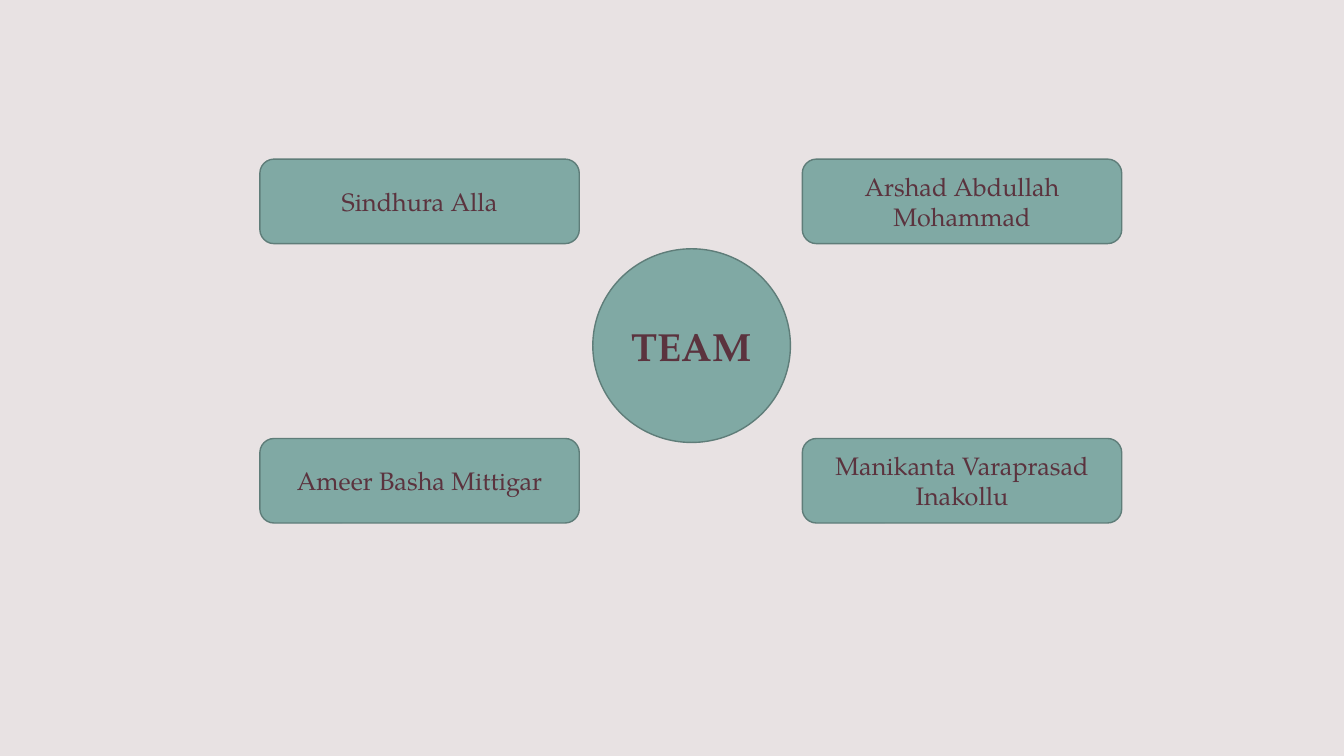
"""Build the team slide: four member cards around a central circle."""
import dataclasses

import pptx
import pptx.dml.color
import pptx.enum.shapes
import pptx.enum.text
import pptx.util

Cm = pptx.util.Cm
Pt = pptx.util.Pt
RGB = pptx.dml.color.RGBColor
Preset = pptx.enum.shapes.MSO_SHAPE


@dataclasses.dataclass(frozen=True)
class Theme:
    background: RGB = RGB.from_string("E8E2E3")
    fill: RGB = RGB.from_string("80A9A4")
    line: RGB = RGB.from_string("5F7D79")
    text: RGB = RGB.from_string("5B333E")
    font: str = "TeX Gyre Pagella"
    name_size: float = 18
    title_size: float = 28
    line_width: float = 1


@dataclasses.dataclass(frozen=True)
class Node:
    text: str
    left: float
    top: float
    width: float
    height: float
    preset: Preset
    size: float
    bold: bool = False


THEME = Theme()
COLUMNS = (6.55, 20.22)
ROWS = (4.01, 11.05)
CARD_WIDTH, CARD_HEIGHT = 8.05, 2.13
MEMBERS = (
    ("Sindhura Alla", "Ameer Basha Mittigar"),
    ("Arshad Abdullah Mohammad", "Manikanta Varaprasad Inakollu"),
)


def draw_node(slide: pptx.slide.Slide, node: Node) -> None:
    s = slide.shapes.add_shape(
        node.preset, Cm(node.left), Cm(node.top), Cm(node.width), Cm(node.height)
    )
    s.shadow.inherit = False
    s.fill.solid()
    s.fill.fore_color.rgb = THEME.fill
    s.line.color.rgb = THEME.line
    s.line.width = Pt(THEME.line_width)
    tf = s.text_frame
    tf.word_wrap = True
    tf.vertical_anchor = pptx.enum.text.MSO_ANCHOR.MIDDLE
    tf.text = node.text
    p = tf.paragraphs[0]
    p.alignment = pptx.enum.text.PP_ALIGN.CENTER
    r = p.runs[0]
    r.font.name = THEME.font
    r.font.size = Pt(node.size)
    r.font.bold = node.bold
    r.font.color.rgb = THEME.text


def main() -> None:
    prs = pptx.Presentation()
    prs.slide_width, prs.slide_height = Cm(33.87), Cm(19.05)
    slide = prs.slides.add_slide(prs.slide_layouts[6])
    slide.background.fill.solid()
    slide.background.fill.fore_color.rgb = THEME.background

    for left, names in zip(COLUMNS, MEMBERS):
        for top, name in zip(ROWS, names):
            draw_node(slide, Node(name, left, top, CARD_WIDTH, CARD_HEIGHT,
                                  Preset.ROUNDED_RECTANGLE, THEME.name_size))
    draw_node(slide, Node("TEAM", 14.94, 6.27, 4.98, 4.88,
                          Preset.OVAL, THEME.title_size, bold=True))
    prs.save("out.pptx")


if __name__ == "__main__":
    main()
